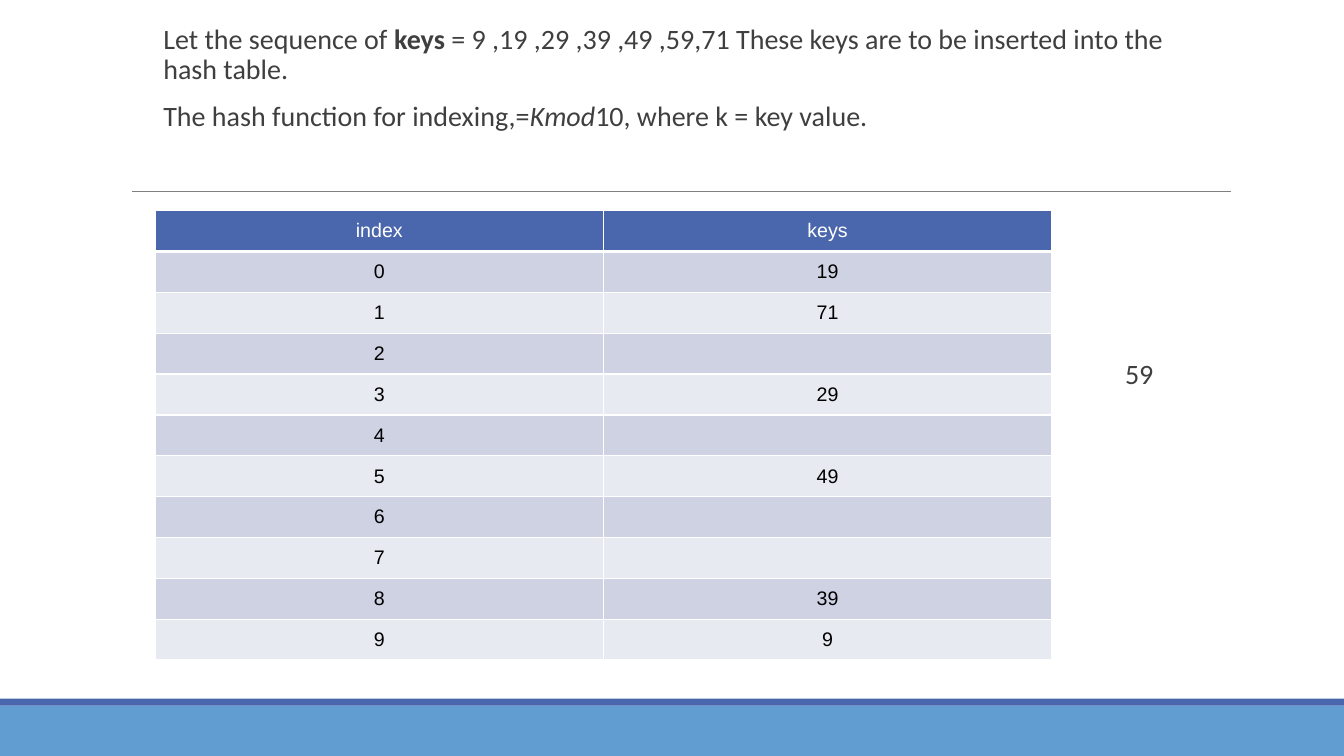
from dataclasses import dataclass

import pptx
import pptx.dml.color
import pptx.enum.shapes
import pptx.enum.text
import pptx.oxml
import pptx.oxml.ns
import pptx.util


@dataclass(frozen=True)
class Theme:
    text: str = "3F3F3F"
    accent: str = "4A66AC"
    footer: str = "629DD1"
    rule: str = "7F7F7F"
    white: str = "FFFFFF"
    black: str = "000000"
    odd_row: str = "CED2E2"
    even_row: str = "E8EAF1"
    body_font: str = "Calibri"
    table_font: str = "Arial"
    body_size: int = 20
    table_size: int = 14


@dataclass(frozen=True)
class Box:
    """Position and size in percent of the slide's width and height."""
    x: float
    y: float
    w: float
    h: float

    def emu(self) -> tuple[int, int, int, int]:
        return (int(WIDTH * self.x / 100), int(HEIGHT * self.y / 100),
                int(WIDTH * self.w / 100), int(HEIGHT * self.h / 100))


@dataclass(frozen=True)
class Band:
    box: Box
    color: str


@dataclass(frozen=True)
class Span:
    text: str
    bold: bool = False
    italic: bool = False


THEME = Theme()
WIDTH, HEIGHT = pptx.util.Inches(13.33), pptx.util.Inches(7.5)
INSET = pptx.util.Inches(0.1)

BANDS = [Band(Box(0, 93.33, 100, 6.67), THEME.footer),
         Band(Box(0, 92.4, 100, 0.93), THEME.accent)]
RULE = Box(9.83, 25.33, 81.77, 0)
BODY = Box(7.65, 2, 82.52, 58.67)
TABLE = Box(11.55, 27.87, 66.7, 59.47)
PENDING = Box(82.97, 45.87, 17.03, 7.2)

PARAGRAPHS = [
    [Span("Let the sequence of "), Span("keys", bold=True),
     Span(" = 9 ,19 ,29 ,39 ,49 ,59,71 These keys are to be inserted into the hash table.")],
    [Span("The hash function for indexing,="), Span("Kmod", italic=True),
     Span("10, where k = key value.")],
]
HASH_TABLE = {0: 19, 1: 71, 3: 29, 5: 49, 8: 39, 9: 9}
SLOTS = 10


def rgb(color: str) -> pptx.dml.color.RGBColor:
    return pptx.dml.color.RGBColor.from_string(color)


def style(r, font: str, size: int, color: str, bold: bool = False, italic: bool = False) -> None:
    r.font.name, r.font.size = font, pptx.util.Pt(size)
    r.font.bold, r.font.italic = bold, italic
    r.font.color.rgb = rgb(color)


def set_insets(tf) -> None:
    tf.word_wrap = True
    tf.margin_left = tf.margin_right = tf.margin_top = tf.margin_bottom = INSET


def add_xml(parent, xml: str) -> None:
    tag, rest = xml.split(" ", 1) if " " in xml else (xml, "/>")
    ns = pptx.oxml.ns.nsdecls("a")
    parent.append(pptx.oxml.parse_xml(f"<{tag} {ns} {rest}"))


def add_band(s, band: Band) -> None:
    sp = s.shapes.add_shape(pptx.enum.shapes.MSO_SHAPE.RECTANGLE, *band.box.emu())
    sp.shadow.inherit = False
    sp.fill.solid()
    sp.fill.fore_color.rgb = rgb(band.color)
    sp.line.fill.background()


def add_rule(s, box: Box) -> None:
    x, y, w, h = box.emu()
    line = s.shapes.add_connector(pptx.enum.shapes.MSO_CONNECTOR.STRAIGHT, x, y, x + w, y + h)
    line.line.color.rgb = rgb(THEME.rule)
    line.line.width = pptx.util.Pt(0.75)
    add_xml(line._element.spPr, "a:effectLst")


def fill_body(sp, box: Box, paragraphs: list[list[Span]]) -> None:
    sp.left, sp.top, sp.width, sp.height = box.emu()
    tf = sp.text_frame
    set_insets(tf)
    tf.auto_size = pptx.enum.text.MSO_AUTO_SIZE.NONE
    tf.vertical_anchor = pptx.enum.text.MSO_ANCHOR.TOP
    for i, spans in enumerate(paragraphs):
        p = tf.add_paragraph() if i else tf.paragraphs[0]
        pPr = p._p.get_or_add_pPr()
        pPr.set("marL", str(pptx.util.Inches(0.5)))
        pPr.set("indent", str(pptx.util.Inches(-0.39)))
        add_xml(pPr, f'a:buClr ><a:srgbClr val="{THEME.accent}"/></a:buClr>')
        add_xml(pPr, 'a:buChar char=" "/>')
        p.line_spacing = 0.9
        p.space_before = pptx.util.Pt(12 if i else 0)
        p.space_after = pptx.util.Pt(0)
        for span in spans:
            r = p.add_run()
            r.text = span.text
            style(r, THEME.body_font, THEME.body_size, THEME.text, span.bold, span.italic)


def set_borders(cell, top: float, bottom: float) -> None:
    tcPr = cell._tc.get_or_add_tcPr()
    for side, points in (("L", 1), ("R", 1), ("T", top), ("B", bottom)):
        add_xml(tcPr, f'a:ln{side} w="{pptx.util.Pt(points)}"><a:solidFill>'
                      f'<a:srgbClr val="{THEME.white}"/></a:solidFill></a:ln{side}>')


def add_hash_table(s, box: Box) -> None:
    rows = [("index", "keys")]
    rows += [(str(i), str(HASH_TABLE.get(i, ""))) for i in range(SLOTS)]
    x, y, w, h = box.emu()
    table = s.shapes.add_table(len(rows), 2, x, y, w, h).table
    for i, values in enumerate(rows):
        table.rows[i].height = h // len(rows)
        if i == 0:
            fill, color = THEME.accent, THEME.white
        else:
            fill, color = (THEME.odd_row if i % 2 else THEME.even_row), THEME.black
        for j, value in enumerate(values):
            cell = table.cell(i, j)
            set_borders(cell, top=3 if i == 1 else 1, bottom=3 if i == 0 else 1)
            cell.fill.solid()
            cell.fill.fore_color.rgb = rgb(fill)
            if value:
                cell.vertical_anchor = pptx.enum.text.MSO_ANCHOR.MIDDLE
                p = cell.text_frame.paragraphs[0]
                p.text = value
                p.alignment = pptx.enum.text.PP_ALIGN.CENTER
                style(p.runs[0], THEME.table_font, THEME.table_size, color)


def add_pending_key(s, box: Box, key: str) -> None:
    tf = s.shapes.add_textbox(*box.emu()).text_frame
    set_insets(tf)
    tf.text = key
    style(tf.paragraphs[0].runs[0], THEME.body_font, THEME.body_size, THEME.text)


def main() -> None:
    prs = pptx.Presentation()
    prs.slide_width, prs.slide_height = WIDTH, HEIGHT
    s = prs.slides.add_slide(prs.slide_layouts.get_by_name("Title and Content"))
    title = s.shapes.title._element
    title.getparent().remove(title)
    for band in BANDS:
        add_band(s, band)
    add_rule(s, RULE)
    fill_body(s.placeholders[1], BODY, PARAGRAPHS)
    add_hash_table(s, TABLE)
    add_pending_key(s, PENDING, "59")
    prs.save("out.pptx")


if __name__ == "__main__":
    main()
